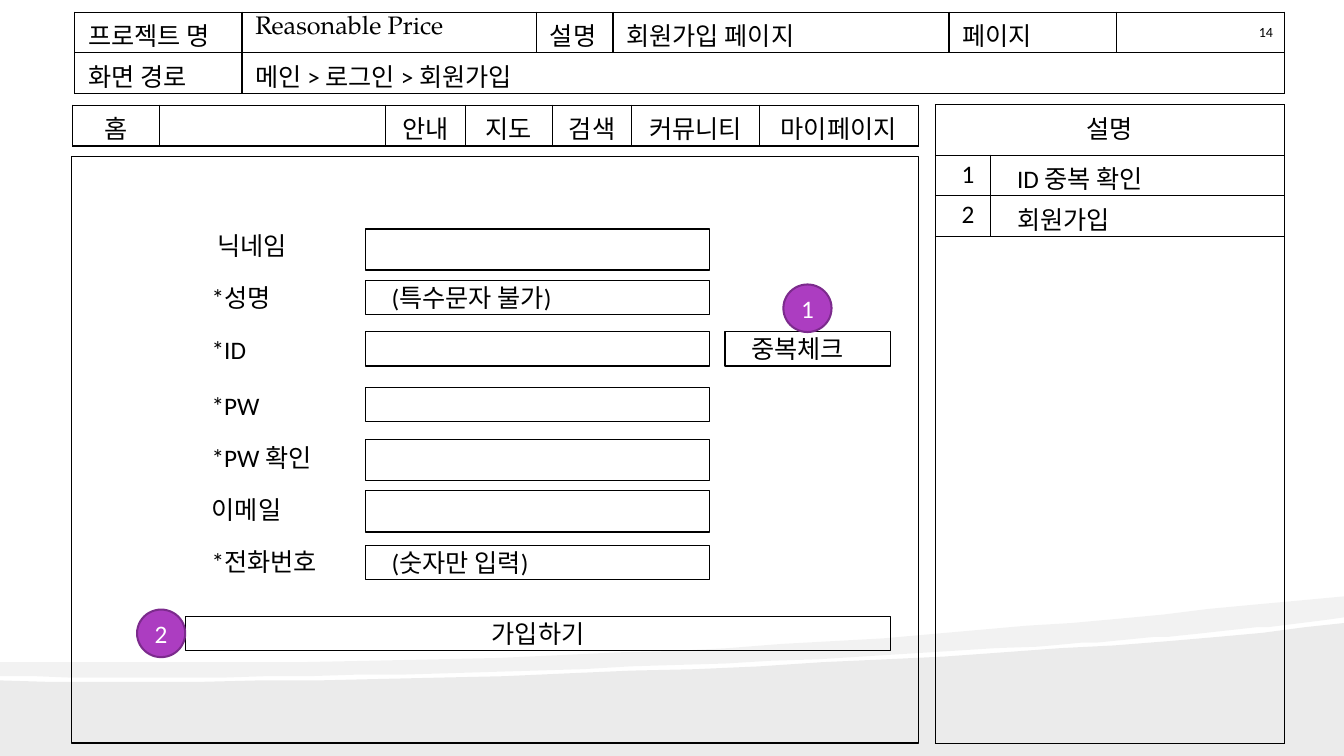
"""Build the sign-up page wireframe slide with its header, menu, form and notes."""
import dataclasses
import pptx
import pptx.dml.color
import pptx.enum.shapes
import pptx.enum.text
import pptx.oxml
import pptx.oxml.ns
import pptx.util

Pt = pptx.util.Pt
Align = pptx.enum.text.PP_ALIGN
Anchor = pptx.enum.text.MSO_ANCHOR
Kind = pptx.enum.shapes.MSO_SHAPE


@dataclasses.dataclass(frozen=True)
class Theme:
    """Colours, fonts and sizes of the slide."""
    ink: str = "000000"
    light: str = "FFFFFF"
    badge: str = "AC3DC1"
    badge_edge: str = "7C2B8D"
    latin: str = "Calibri"
    serif: str = "TeX Gyre Pagella"
    korean: str = "Noto Sans CJK KR"
    body: float = 18
    small: float = 10
    line: float = 1
    badge_line: float = 1.44
    inset: float = 3


THEME = Theme()
LEFT, CENTER, RIGHT = Align.LEFT, Align.CENTER, Align.RIGHT

HEADER = {
    "at": (53.4, 8.7),
    "columns": [(width, LEFT, 9.5, 0) for width in (119.5, 210.5, 54.5, 240, 119.5)] + [(120, RIGHT, 0, 8)],
    "heights": (29, 29.3),
    "rows": [["프로젝트 명", "Reasonable Price", "설명", "회원가입 페이지", "페이지", "14"],
             ["화면 경로", "메인 > 로그인 > 회원가입"]],
    "merges": [((1, 1), (1, 5))],
}
MENU = {
    "at": (52, 75.2),
    "columns": [(width, CENTER, 0, 0) for width in (62, 161.5, 56.8, 62.3, 56.8, 91, 113.6)],
    "heights": (28.8,),
    "rows": [["홈", "", "안내", "지도", "검색", "커뮤니티", "마이페이지"]],
    "merges": [],
}
NOTES = {
    "at": (668.2, 74.8),
    "columns": [(39.3, RIGHT, 0, 11.5), (210, LEFT, 19, 0)],
    "heights": (36, 28.7, 28.7, 362),
    "rows": [["설명"], ["1", "ID 중복 확인"], ["2", "회원가입"], []],
    "merges": [((0, 0), (0, 1)), ((3, 0), (3, 1))],
}
SPAN_FORMATS = {"Reasonable Price": {"name": THEME.serif}, "14": {"size": Pt(THEME.small)}}

FORM_GROUPS = [
    (175.3, [("닉네임", 4, 163.5, 29.5, ""), ("*성명", 0, 200.2, 24.5, "(특수문자 불가)"),
             ("*ID", 0, 236.9, 24.5, "")]),
    (289.3, [("*PW", 0, 276.6, 24.5, ""), ("*PW 확인", 0, 313.9, 29.5, ""),
             ("이메일", 0, 350.4, 29.5, ""), ("*전화번호", 0, 389.7, 24.5, "(숫자만 입력)")]),
]
LABEL_LEFT, LABEL_WIDTH, LABEL_HEIGHT, LABEL_PITCH = 151.2, 100, 26, 37.2
FIELD_LEFT, FIELD_WIDTH, FIELD_INDENT = 261, 245.8, 18.7

FRAME = (51.2, 112, 604.8, 418.8)
CHECK_BUTTON = ("중복체크", (517.8, 236.9, 118.2, 24.5), LEFT, FIELD_INDENT)
JOIN_BUTTON = ("가입하기", (132.7, 440.2, 503.3, 24.5), CENTER, 0)
BADGES = [("1", 559.6, 203.2), ("2", 97.9, 435.4)]
BADGE_SIZE = (34.4, 34)

WAVES = [
    (8, [[(0, 486), (253.4, 491.8), (750.2, 471.6), (960, 445)], [(960, 540)], [(0, 540)]]),
    (5, [[(0, 473), (469.4, 476.6), (699.1, 451.4), (960, 426)], [(960, 441)],
         [(960, 441), (904, 448.6), (828, 455.8), (741, 461.5)],
         [(741, 461.5), (502.6, 477.4), (185.8, 487.4), (0, 483)]]),
]


def set_format(target, values):
    for name, value in values.items():
        setattr(target, name, value)


def color(code):
    return pptx.dml.color.RGBColor.from_string(code)


def write_text(frame, text, align=LEFT, ink=THEME.ink):
    para = frame.paragraphs[0]
    para.alignment = align
    if not text:
        return
    span = para.add_run()
    span.text = text
    set_format(span.font, {"size": Pt(THEME.body), "name": THEME.latin, **SPAN_FORMATS.get(text, {})})
    span.font.color.rgb = color(ink)
    east = pptx.oxml.parse_xml(
        f'<a:ea {pptx.oxml.ns.nsdecls("a")} typeface="{THEME.korean}"/>')
    span.font._element.append(east)


def add_box(page, place, text="", align=LEFT, indent=0, kind=Kind.RECTANGLE,
            fill=None, edge=THEME.ink, weight=THEME.line, ink=THEME.ink):
    box = page.shapes.add_shape(kind, *map(Pt, place))
    box.shadow.inherit = False
    if fill:
        box.fill.solid()
        box.fill.fore_color.rgb = color(fill)
    else:
        box.fill.background()
    box.line.color.rgb = color(edge)
    box.line.width = Pt(weight)
    fill_frame(box.text_frame, text, align, indent, ink)


def fill_frame(frame, text, align=LEFT, indent=0, ink=THEME.ink):
    set_format(frame, {"margin_left": Pt(indent), "margin_right": 0, "margin_top": 0, "margin_bottom": 0,
                       "vertical_anchor": Anchor.MIDDLE, "word_wrap": True})
    write_text(frame, text, align, ink)


def add_borders(cell):
    properties = cell._tc.get_or_add_tcPr()
    for side in ("lnL", "lnR", "lnT", "lnB"):
        properties.append(pptx.oxml.parse_xml(
            f'<a:{side} {pptx.oxml.ns.nsdecls("a")} w="{Pt(THEME.line)}"><a:solidFill>'
            f'<a:srgbClr val="{THEME.ink}"/></a:solidFill></a:{side}>'))


def add_grid(page, grid):
    columns, heights = grid["columns"], grid["heights"]
    size = (sum(column[0] for column in columns), sum(heights))
    table = page.shapes.add_table(len(heights), len(columns), *map(Pt, grid["at"] + size)).table
    set_format(table, {"first_row": False, "horz_banding": False})
    for row, height in zip(table.rows, heights):
        row.height = Pt(height)
    for index, (width, align, left, right) in enumerate(columns):
        table.columns[index].width = Pt(width)
        for row, texts in enumerate(grid["rows"]):
            cell = table.cell(row, index)
            add_borders(cell)
            cell.fill.background()
            set_format(cell, {"margin_left": Pt(left), "margin_right": Pt(right),
                              "margin_top": Pt(THEME.inset), "margin_bottom": 0})
            write_text(cell.text_frame, texts[index] if index < len(texts) else "", align)
    for first, last in grid["merges"]:
        table.cell(*first).merge(table.cell(*last))
    return table


def curve_points(controls, steps=24):
    if len(controls) == 1:
        return controls
    weights = [((1 - t) ** 3, 3 * t * (1 - t) ** 2, 3 * t * t * (1 - t), t ** 3)
               for t in (step / steps for step in range(steps + 1))]
    return [tuple(sum(w * point[axis] for w, point in zip(weight, controls)) for axis in (0, 1))
            for weight in weights]


def add_wave(page, opacity, pieces):
    points = [point for piece in pieces for point in curve_points(piece)]
    builder = page.shapes.build_freeform(*points[0], scale=Pt(1))
    builder.add_line_segments(points[1:], close=True)
    wave = builder.convert_to_shape()
    wave.shadow.inherit = False
    wave.line.fill.background()
    wave.fill.solid()
    wave.fill.fore_color.rgb = color(THEME.ink)
    tint = wave._element.spPr.find(".//" + pptx.oxml.ns.qn("a:srgbClr"))
    tint.append(pptx.oxml.parse_xml(
        f'<a:alpha {pptx.oxml.ns.nsdecls("a")} val="{opacity * 1000}"/>'))


def add_form(page):
    for middle, fields in FORM_GROUPS:
        for index, (label, indent, top, height, hint) in enumerate(fields):
            label_top = middle + index * LABEL_PITCH - LABEL_HEIGHT / 2
            box = page.shapes.add_textbox(*map(Pt, (LABEL_LEFT, label_top, LABEL_WIDTH, LABEL_HEIGHT)))
            fill_frame(box.text_frame, label, indent=indent)
            add_box(page, (FIELD_LEFT, top, FIELD_WIDTH, height), hint, indent=FIELD_INDENT)


deck = pptx.Presentation()
set_format(deck, {"slide_width": Pt(960), "slide_height": Pt(540)})
page = deck.slides.add_slide(deck.slide_layouts[6])
for opacity, pieces in WAVES:
    add_wave(page, opacity, pieces)
header = add_grid(page, HEADER)
header.cell(0, 5).margin_top = Pt(8.6)
add_box(page, FRAME)
notes = add_grid(page, NOTES)
notes.cell(0, 0).margin_right = 0
notes.cell(0, 0).text_frame.paragraphs[0].alignment = CENTER
add_grid(page, MENU)
add_form(page)
for text, place, align, indent in (CHECK_BUTTON, JOIN_BUTTON):
    add_box(page, place, text, align, indent)
for number, left, top in BADGES:
    add_box(page, (left, top) + BADGE_SIZE, number, CENTER, kind=Kind.OVAL, fill=THEME.badge,
            edge=THEME.badge_edge, weight=THEME.badge_line, ink=THEME.light)
deck.save("out.pptx")
